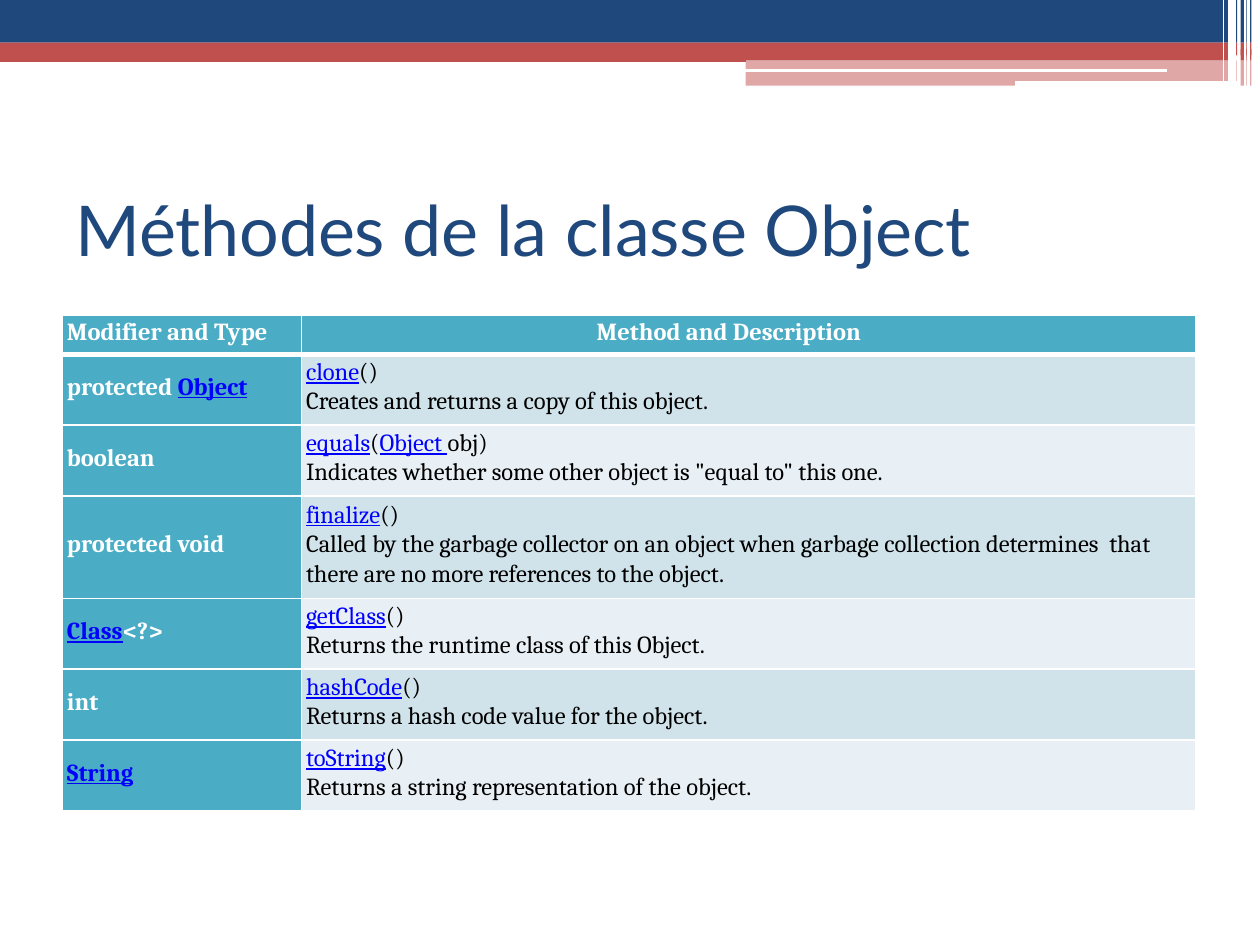
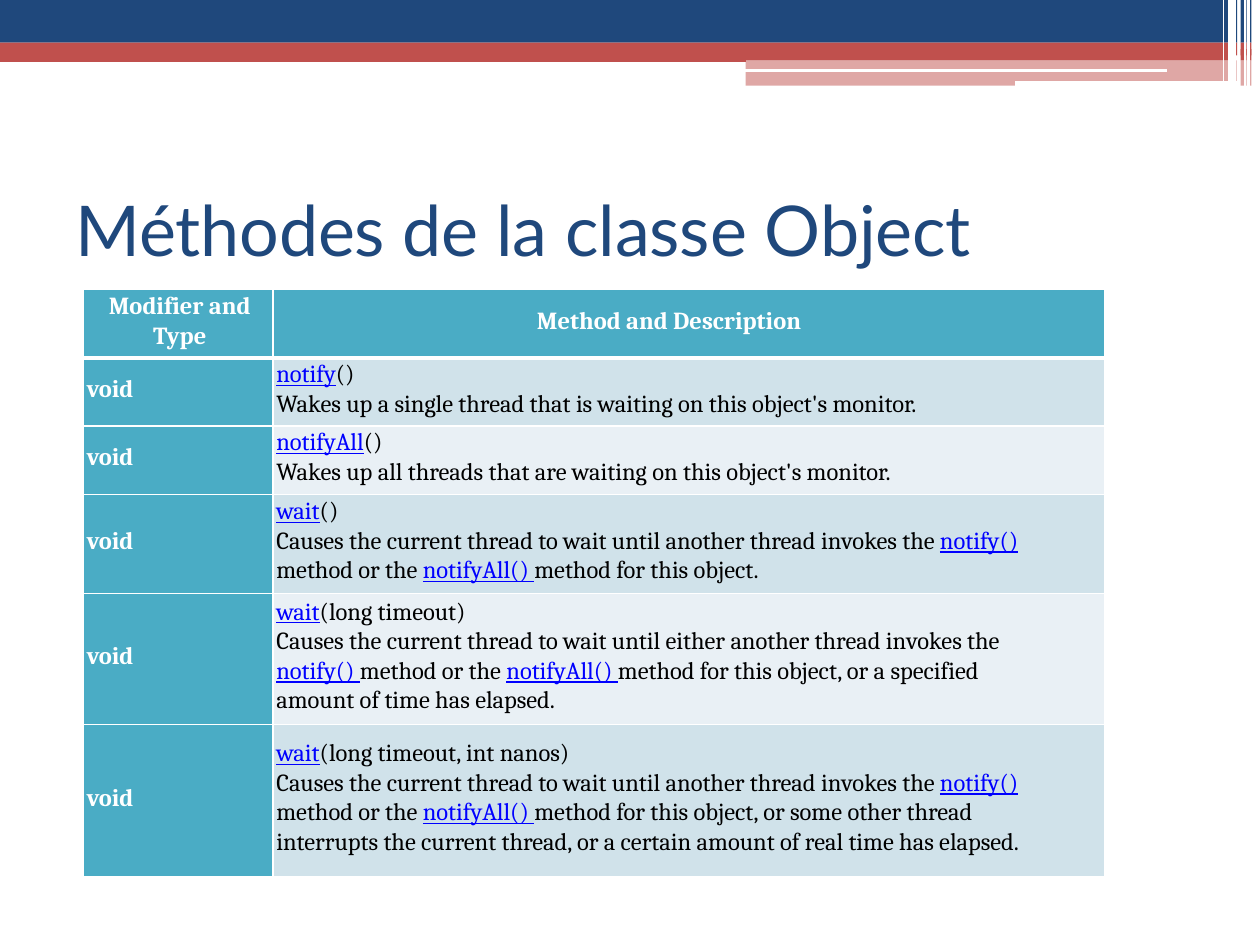
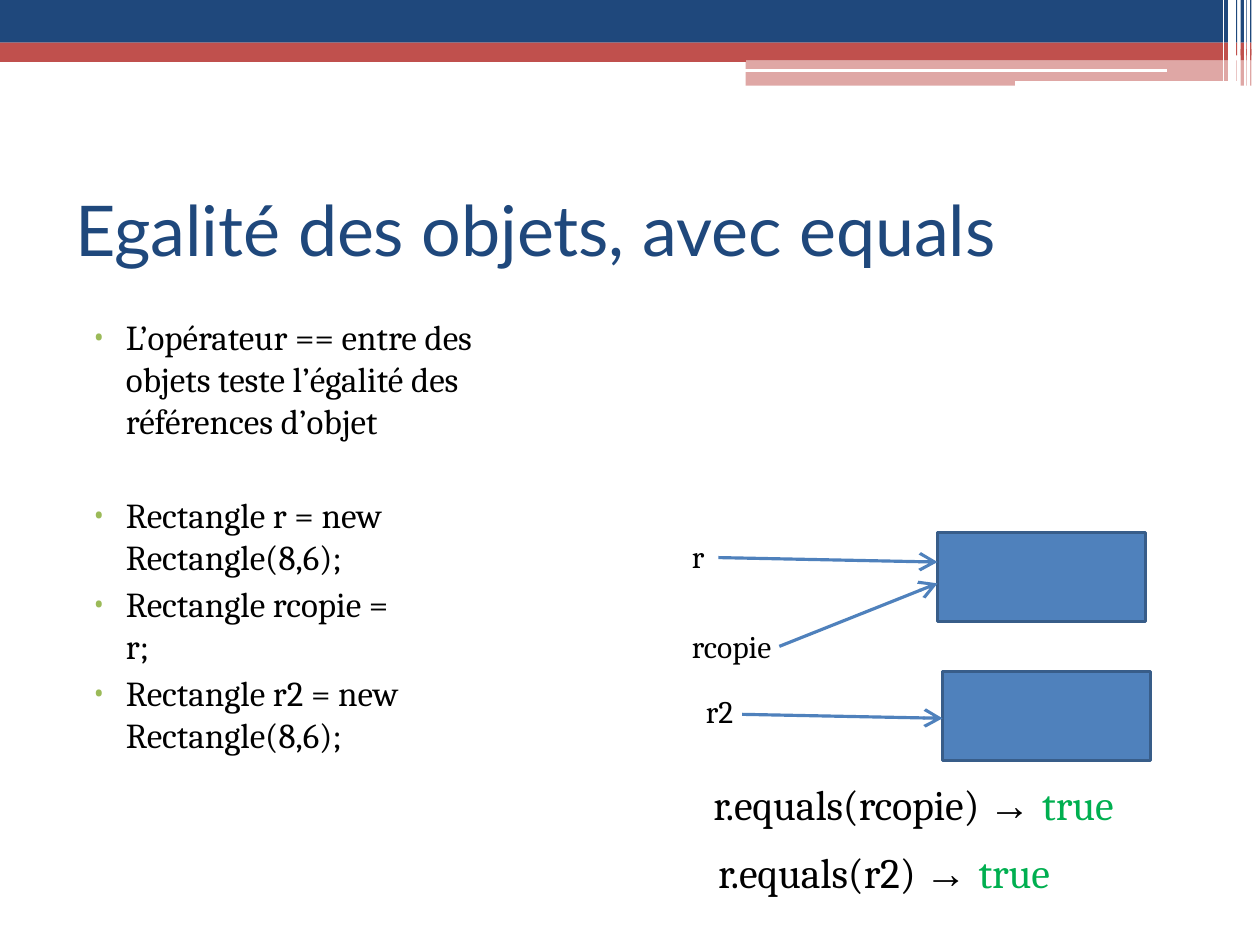
from dataclasses import dataclass, replace
from itertools import cycle

from lxml import etree
from pptx import Presentation, util as u
from pptx.dml.color import RGBColor
from pptx.enum import shapes, text
from pptx.oxml.ns import qn


@dataclass(frozen=True)
class Style:
    size: float
    color: str
    font: str = "Cambria"
    bold: bool = False
    line: bool = False
    gap: int = 0  # letter spacing, hundredths of a point


class Theme:
    navy, red, white = "1F487C", "C0504D", "FFFFFF"
    teal, bands = "4AACC5", ("D0E2EA", "E9F0F5")
    box, edge, dot = "4F81BC", "385D89", "9BBA58"
    title = Style(40, navy, "Lato", gap=-5)
    cell = Style(14, "000000", gap=-3)
    head = Style(14, white, bold=True)
    link = Style(14, "0000FF", line=True, gap=-3)
    body = Style(20, "000000")
    label = Style(18, "000000")
    result = Style(24, "000000", gap=-10)
    arrow = Style(24, "000000", "Arial")
    good = Style(24, "00AF50", gap=-5)


# Content: in table text, links stand between bars
METHODS = "Méthodes de la classe Object"
TABLES = [
    dict(title=METHODS, at=(1.26, 6.35), cols=(4.82, 18.03), inset=(0.09, 0),
         align=text.PP_ALIGN.LEFT,
         rows=[
             (0.79, "Modifier and Type", "Method and Description"),
             (1.43, "protected |Object|",
              "|clone|()\nCreates and returns a copy of this object."),
             (1.43, "boolean", "|equals|(|Object |obj)\n"
              "Indicates whether some other object is \"equal to\" this one."),
             (2.06, "protected void", "|finalize|()\n"
              "Called by the garbage collector on an object when garbage collection "
              "determines  that there are no more references to the object."),
             (1.43, "|Class|<?>",
              "|getClass|()\nReturns the runtime class of this Object."),
             (1.43, "int", "|hashCode|()\nReturns a hash code value for the object."),
             (1.43, "|String|",
              "|toString|()\nReturns a string representation of the object."),
         ]),
    dict(title=METHODS, at=(1.68, 5.84), cols=(3.82, 16.78), inset=(0.07, 1),
         align=text.PP_ALIGN.CENTER,
         rows=[
             (1.36, "Modifier and\nType", "Method and Description"),
             (1.37, "void", "|notify|()\n"
              "Wakes up a single thread that is waiting on this object's monitor."),
             (1.37, "void", "|notifyAll|()\n"
              "Wakes up all threads that are waiting on this object's monitor."),
             (2.0, "void", "|wait|()\n"
              "Causes the current thread to wait until another thread invokes the "
              "|notify() |method or the |notifyAll() |method for this object."),
             (2.64, "void", "|wait|(long timeout)\n"
              "Causes the current thread to wait until either another thread invokes "
              "the |notify() |method or the |notifyAll() |method for this object, "
              "or a specified amount of time has elapsed."),
             (3.07, "void", "|wait|(long timeout, int nanos)\n"
              "Causes the current thread to wait until another thread invokes the "
              "|notify() |method or the |notifyAll() |method for this object, "
              "or some other thread interrupts the current thread, "
              "or a certain amount of real time has elapsed."),
         ]),
]
EQUALS = "Egalité des objets, avec equals"
# Bullet boxes: place, right inset, lines
BULLETS = [
    ((1.8, 6.33, 8.53, 2.62), 0,
     "L’opérateur == entre des objets teste l’égalité des références d’objet"),
    ((1.8, 9.91, 7.29, 4.52), 0.9,
     "Rectangle r = new Rectangle(8,6);\nRectangle rcopie = r;\n"
     "Rectangle r2 = new Rectangle(8,6);"),
]
BOXES = [(18.9, 10.73), (19.0, 13.54)]
LABELS = [("r", 13.95, 10.8), ("rcopie", 13.95, 12.62), ("r2", 14.23, 13.92)]
ARROWS = [(14.48, 11.24, 18.9, 11.33), (15.71, 13.03, 18.9, 11.76),
          (14.96, 14.4, 19.0, 14.48)]
RESULTS = "r.equals(rcopie) |→ |true\nr.equals(r2) |→ |true"

# Bands: colour, opacity, top, bottom, left and right of the wide bar, thin stripes
STRIPES = [(25.2, 0.03), (25.01, 0.12), (24.92, 0.02)]
TIERS = [
    (Theme.navy, 100, 0, 0.86, 0, 24.77, 3),
    (Theme.red, 100, 0.86, 1.12, 0, 24.77, 3),
    (Theme.red, 100, 0.99, 1.22, 15.03, 24.77, 2),
    (Theme.red, 50, 1.22, 1.73, 15.03, 24.93, 2),
]
RULES = [
    (15.02, 1.42, 23.52, 1.42, 2.16), (20.47, 1.68, 24.93, 1.68, 2.88),
    (25.1, 0, 25.1, 1.73, 0.72), (24.84, 0, 24.84, 1.63, 4.32),
    (24.66, 0, 24.66, 1.63, 0.72),
]


def cms(*vals):
    return [u.Cm(v) for v in vals]


def rgb(code):
    return RGBColor.from_string(code)


def write(frame, words, *styles):
    """Fill a frame; bars in the words step through the styles."""
    frame.word_wrap = True
    for i, line in enumerate(words.split("\n")):
        para = frame.add_paragraph() if i else frame.paragraphs[0]
        for part, style in zip(line.split("|"), cycle(styles)):
            if not part:
                continue
            run = para.add_run()
            run.text = part
            font = run.font
            font.name, font.size = style.font, u.Pt(style.size)
            font.bold, font.underline = style.bold, style.line
            font.color.rgb = rgb(style.color)
            run._r.get_or_add_rPr().set("spc", str(style.gap))
    return frame.paragraphs


def note(slide, at, words, *styles, right=0):
    frame = slide.shapes.add_textbox(*cms(*at)).text_frame
    frame.margin_left = frame.margin_bottom = 0
    frame.margin_top, frame.margin_right = cms(0.03, right)
    paras = write(frame, words, *styles)
    paras[0].space_before = u.Pt(1)
    return paras


def block(slide, at, color, alpha=100, edge=None):
    shape = slide.shapes.add_shape(shapes.MSO_SHAPE.RECTANGLE, *cms(*at))
    shape.shadow.inherit = False
    shape.fill.solid()
    shape.fill.fore_color.rgb = rgb(color)
    if alpha < 100:
        tint = next(shape._element.spPr.iter(qn("a:srgbClr")))
        etree.SubElement(tint, qn("a:alpha"), val=str(alpha * 1000))
    if edge:
        shape.line.color.rgb = rgb(edge)
        shape.line.width = u.Pt(1.56)
    else:
        shape.line.fill.background()


def rule(slide, ends, color, thick, tip=False):
    line = slide.shapes.add_connector(shapes.MSO_CONNECTOR.STRAIGHT, *cms(*ends))
    line.line.color.rgb = rgb(color)
    line.line.width = u.Pt(thick)
    props = line._element.spPr
    if tip:
        etree.SubElement(props.find(qn("a:ln")), qn("a:tailEnd"),
                         type="arrow", w="lg", len="lg")
    etree.SubElement(props, qn("a:effectLst"))


def start(deck, title, width):
    """Add a slide with its top bands and title."""
    slide = deck.slides.add_slide(deck.slide_layouts[6])
    rule(slide, (0, 1.17, 15.04, 1.17), Theme.red, 4.08)
    for color, alpha, top, end, left, right, count in TIERS:
        for x, wide in [(left, right - left)] + STRIPES[:count]:
            block(slide, (x, top, wide, end - top), color, alpha)
    for *ends, thick in RULES:
        rule(slide, ends, Theme.white, thick)
    note(slide, (1.52, 3.74, width, 1.75), title, Theme.title)
    return slide


def border(cell, row):
    props = cell._tc.get_or_add_tcPr()
    for side in "LRTB":
        thick = (row, side) in ((0, "B"), (1, "T"))
        line = etree.SubElement(props, qn("a:ln" + side), w=str(u.Pt(3 if thick else 1)))
        fill = etree.SubElement(line, qn("a:solidFill"))
        etree.SubElement(fill, qn("a:srgbClr"), val=Theme.white)


def grid(slide, data):
    rows, cols = data["rows"], data["cols"]
    left, right = data["inset"]
    size = (sum(cols), sum(row[0] for row in rows))
    table = slide.shapes.add_table(len(rows), 2, *cms(*data["at"], *size)).table
    for col, wide in zip(table.columns, cols):
        col.width = u.Cm(wide)
    for r, (high, *words) in enumerate(rows):
        table.rows[r].height = u.Cm(high)
        for c, word in enumerate(words):
            cell = table.cell(r, c)
            strong = r == 0 or c == 0
            border(cell, r)
            cell.fill.solid()
            cell.fill.fore_color.rgb = rgb(Theme.teal if strong else Theme.bands[(r - 1) % 2])
            cell.vertical_anchor = text.MSO_ANCHOR.MIDDLE
            cell.margin_left = u.Cm(0 if r == 0 and c else left)
            cell.margin_right = u.Cm((right if r else 0.8) if c else 0)
            cell.margin_top, cell.margin_bottom = cms(0, 0.13)
            base = Theme.head if strong else Theme.cell
            for para in write(cell.text_frame, word, base, replace(Theme.link, bold=strong)):
                para.line_spacing = 1.05
                if r == 0:
                    para.alignment = text.PP_ALIGN.CENTER if c else data["align"]


def bullet(para):
    props = para._p.get_or_add_pPr()
    props.set("marL", str(u.Cm(0.74)))
    props.set("indent", str(u.Cm(-0.7)))
    tint = etree.SubElement(props, qn("a:buClr"))
    etree.SubElement(tint, qn("a:srgbClr"), val=Theme.dot)
    etree.SubElement(props, qn("a:buFont"), typeface="Cambria")
    etree.SubElement(props, qn("a:buChar"), char="•")


def equality(slide):
    for at, right, words in BULLETS:
        for i, para in enumerate(note(slide, at, words, Theme.body, right=right)):
            para.space_before = u.Pt(3 if i else 1)
            bullet(para)
    # Objects and the references to them
    for x, y in BOXES:
        block(slide, (x, y, 4.19, 1.8), Theme.box, edge=Theme.edge)
    for word, x, y in LABELS:
        note(slide, (x, y, 1.83, 0.84), word, Theme.label)
    for ends in ARROWS:
        rule(slide, ends, Theme.box, 1.8, tip=True)
    # Results of the comparisons
    paras = note(slide, (14.35, 15.31, 8.9, 2.82), RESULTS,
                 Theme.result, Theme.arrow, Theme.good)
    for para, left in zip(paras, (0.03, 0.13)):
        para.line_spacing = 1.35
        para._p.get_or_add_pPr().set("marL", str(u.Cm(left)))


def main():
    deck = Presentation()
    deck.slide_width, deck.slide_height = cms(25.4, 19.05)
    for data in TABLES:
        grid(start(deck, data["title"], 18.52), data)
    equality(start(deck, EQUALS, 19.69))
    deck.save("out.pptx")


if __name__ == "__main__":
    main()
